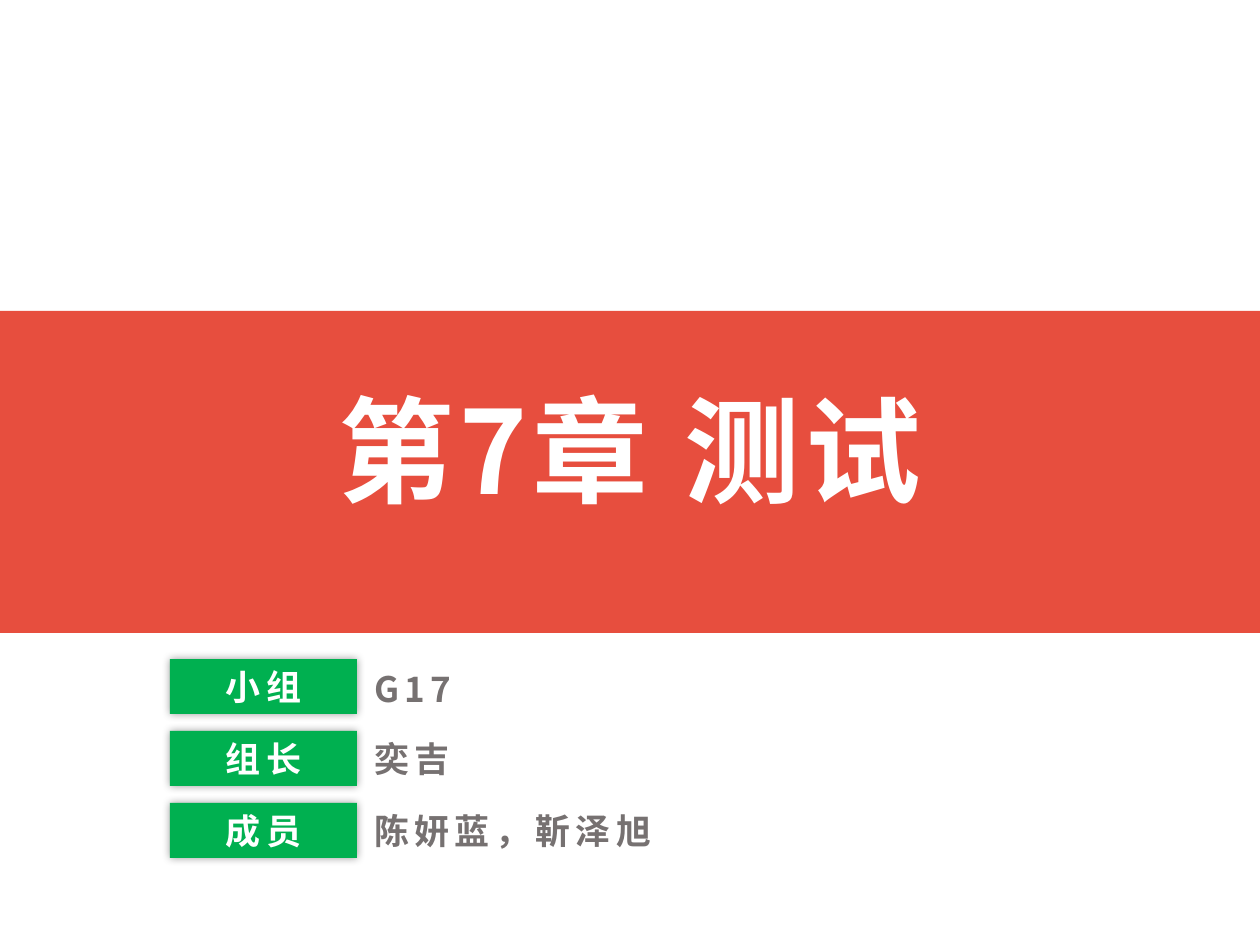
from dataclasses import dataclass

from lxml.etree import SubElement
from pptx import Presentation
from pptx.dml.color import RGBColor
from pptx.enum.shapes import MSO_SHAPE as Shape
from pptx.enum.text import MSO_ANCHOR as Anchor, MSO_AUTO_SIZE as AutoSize, PP_ALIGN as Align
from pptx.oxml.ns import qn
from pptx.util import Emu, Pt

EMU_PER_PIXEL = 914400 / 126


def px(pixels):
    return Emu(round(pixels * EMU_PER_PIXEL))


@dataclass(frozen=True)
class Theme:
    font: str = "Noto Sans CJK SC"
    band: str = "E74E3E"
    label: str = "00B050"
    light: str = "FFFFFF"
    muted: str = "767171"
    shadow: str = "000000"
    title_size: int = 66
    body_size: int = 20
    letter_spacing: int = 3


class SlideBuilder:
    def __init__(self, slide, theme):
        self.slide = slide
        self.theme = theme

    def add_text_run(self, shape, text, size, color, align):
        paragraph = shape.text_frame.paragraphs[0]
        paragraph.alignment = align
        run = paragraph.add_run()
        run.text = text
        run.font.size = Pt(size)
        run.font.bold = True
        run.font.color.rgb = RGBColor.from_string(color)
        run.font.name = self.theme.font
        properties = run._r.get_or_add_rPr()
        properties.set("spc", str(self.theme.letter_spacing * 100))
        SubElement(properties, qn("a:ea"), typeface=self.theme.font)

    def rectangle(self, left, top, width, height, color):
        shape = self.slide.shapes.add_shape(
            Shape.RECTANGLE, px(left), px(top), px(width), px(height))
        shape.shadow.inherit = False
        shape.fill.solid()
        shape.fill.fore_color.rgb = RGBColor.from_string(color)
        shape.line.fill.background()
        return shape

    def glow_shadow(self, shape, blur, opacity):
        effects = shape._element.spPr.find(qn("a:effectLst"))
        shadow = SubElement(effects, qn("a:outerShdw"), blurRad=str(Pt(blur)),
                            dist="0", dir="0", algn="ctr", rotWithShape="0")
        color = SubElement(shadow, qn("a:srgbClr"), val=self.theme.shadow)
        SubElement(color, qn("a:alpha"), val=str(opacity * 1000))

    def label(self, left, top, width, height, text):
        shape = self.rectangle(left, top, width, height, self.theme.label)
        self.glow_shadow(shape, blur=5, opacity=40)
        shape.text_frame.vertical_anchor = Anchor.MIDDLE
        self.add_text_run(shape, text, self.theme.body_size, self.theme.light, Align.CENTER)

    def text(self, left, top, width, height, text, size, color, align=Align.LEFT):
        box = self.slide.shapes.add_textbox(px(left), px(top), px(width), px(height))
        box.text_frame.word_wrap = True
        box.text_frame.auto_size = AutoSize.SHAPE_TO_FIT_TEXT
        self.add_text_run(box, text, size, color, align)


presentation = Presentation()
presentation.slide_width = px(1260)
presentation.slide_height = px(945)
theme = Theme()
builder = SlideBuilder(presentation.slides.add_slide(presentation.slide_layouts[6]), theme)

builder.rectangle(0, 311, 1260, 322, theme.band)
builder.text(146, 373, 968, 152, "第7章 测试", theme.title_size, theme.light, Align.CENTER)

team = [
    ("小组", "G17", 223, 2),
    ("组长", "奕吉", 450, 0),
    ("成员", "陈妍蓝，靳泽旭", 450, 0),
]
first_top, row_pitch, row_height = 659, 72, 55
for index, (role, names, names_width, names_offset) in enumerate(team):
    top = first_top + index * row_pitch
    builder.label(170, top, 187, row_height, role)
    builder.text(362, top + names_offset, names_width, row_height, names,
                 theme.body_size, theme.muted)

presentation.save("out.pptx")
